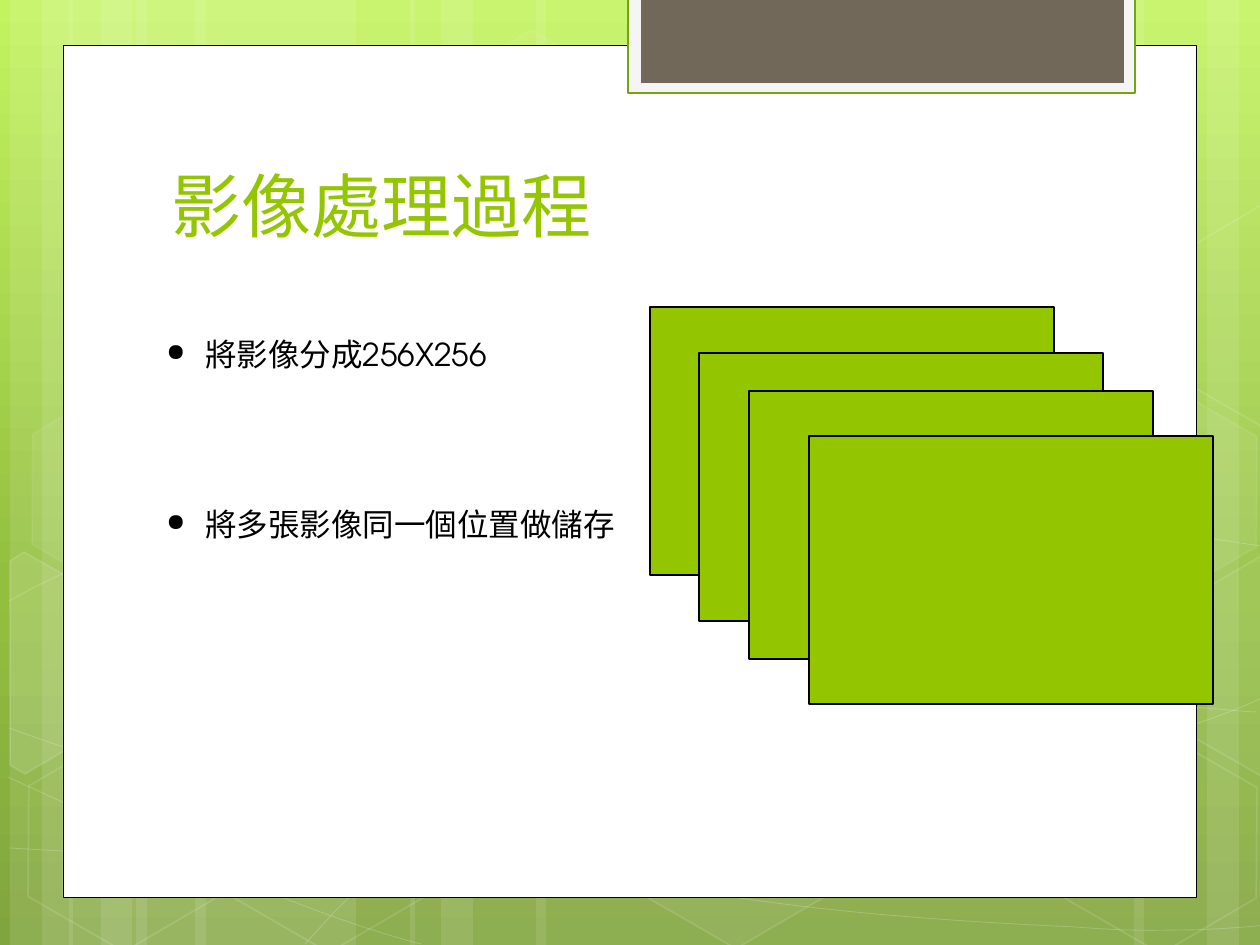
from copy import deepcopy

from lxml.etree import SubElement
from pptx import Presentation
from pptx.dml.color import RGBColor
from pptx.enum.shapes import MSO_SHAPE as Shape
from pptx.enum.text import MSO_ANCHOR as Anchor
from pptx.oxml.ns import qn
from pptx.util import Emu, Pt

SCALE = 914400 / 126  # EMU in one px
FONT = "TeX Gyre Adventor"
WHITE = RGBColor(0xFF, 0xFF, 0xFF)
BLACK = RGBColor(0, 0, 0)
LIME = RGBColor(0x94, 0xC6, 0x00)
DARK_LIME = RGBColor(0x74, 0xA5, 0x10)
PALE_GREY = RGBColor(0xF5, 0xF5, 0xF5)
TAUPE = RGBColor(0x71, 0x68, 0x5A)
BACKGROUND = [
    (0, RGBColor(0xC3, 0xF3, 0x5F)),
    (0.62, RGBColor(0x93, 0xBF, 0x3F)),
    (1, RGBColor(0x81, 0xA5, 0x3E)),
]

TITLE = " 影像處理過程"
TITLE_BOX = (144, 96, 968, 157)
BULLETS = [("將影像分成256X256", (154, 329, 350, 50)),
           ("將多張影像同一個位置做儲存", (154, 499, 479, 50))]
BULLET_INDENT = 39
BULLET_SIZE = 76  # percent of the text size

STRIPES = [  # left, width
    (136, 220), (10, 63), (42, 105), (195, 220), (69, 63), (101, 105),
    (924, 220), (1207, 63), (1134, 105), (536, 388), (410, 63), (441, 105),
]
CURVES = [  # start point, then two controls and an end for each Bezier piece
    [(9, 848), (77, 852), (145, 856), (239, 854), (334, 853), (451, 850),
     (577, 838), (703, 826), (882, 801), (998, 777), (1113, 753),
     (1231, 716), (1269, 694)],
    [(9, 601), (45, 581), (82, 562), (152, 543), (224, 524), (326, 499),
     (437, 488), (549, 477), (685, 477), (824, 488), (963, 498),
     (1193, 537), (1269, 547)],
    [(8, 777), (160, 847), (311, 916), (421, 944)],
    [(9, 728), (48, 742), (88, 756), (161, 776), (234, 795), (344, 827),
     (450, 848), (554, 869), (687, 892), (791, 905), (896, 918),
     (1008, 924), (1075, 927), (1140, 932), (1158, 930), (1191, 930),
     (1223, 929), (1246, 927), (1269, 925)],
    [(305, 944), (328, 919), (350, 893), (381, 871), (411, 848), (454, 823),
     (489, 805), (524, 788), (546, 780), (592, 767), (638, 754), (722, 737),
     (766, 728), (811, 719), (818, 719), (857, 717), (896, 714), (958, 709),
     (1000, 708), (1045, 707), (1116, 708), (1116, 708), (1144, 708),
     (1173, 708), (1201, 708), (1223, 709), (1245, 712), (1256, 712)],
]
HEXAGON_SIZE = (220, 192)
HEXAGONS = [  # left, top, fill opacity %, line opacity %
    (421, 45, 4, 8), (626, 742, 6, 12), (14, 745, 0, 12), (18, 393, 7, 8),
    (219, 746, 0, 12), (1051, 747, 0, 12), (1051, 396, 7, 8),
]
CUT_HEXAGONS = [  # points, fill opacity %
    ([(10, 561), (24, 552), (121, 607), (120, 718), (25, 774), (10, 765)], 10),
    ([(1167, 611), (1261, 556), (1271, 562), (1271, 772), (1263, 777),
      (1167, 722)], 4),
    ([(1167, 261), (1261, 205), (1273, 212), (1271, 422), (1263, 427),
      (1167, 372)], 0),
]
FRAMES = [  # box, fill, line, line width
    ((63, 45, 1134, 853), WHITE, BLACK, 0.5),
    ((628, -2, 507, 95), PALE_GREY, DARK_LIME, 1.25),
    ((641, -2, 483, 85), TAUPE, None, 0),
]
IMAGE_SIZE = (404, 268)
IMAGES = [(650, 307), (699, 353), (749, 391), (809, 436)]


def px(*values):
    return [Emu(round(value * SCALE)) for value in values]


def set_opacity(color_parent, percent):
    color = color_parent.find(qn("a:solidFill")).find(qn("a:srgbClr"))
    SubElement(color, qn("a:alpha"), val=str(percent * 1000))


def paint(shape, fill=None, line=None, width=0.0, fill_opacity=100,
          line_opacity=100):
    shape.shadow.inherit = False
    properties = shape.element.spPr
    if fill is None or fill_opacity == 0:
        shape.fill.background()
    else:
        shape.fill.solid()
        shape.fill.fore_color.rgb = fill
        if fill_opacity < 100:
            set_opacity(properties, fill_opacity)
    if line is None:
        shape.line.fill.background()
        return
    shape.line.color.rgb = line
    shape.line.width = Pt(width)
    if line_opacity < 100:
        set_opacity(properties.find(qn("a:ln")), line_opacity)


def add_box(slide, box, kind=Shape.RECTANGLE, **style):
    shape = slide.shapes.add_shape(kind, *px(*box))
    paint(shape, **style)
    return shape


def add_path(slide, points, close, **style):
    builder = slide.shapes.build_freeform(*points[0], scale=SCALE)
    builder.add_line_segments(points[1:], close=close)
    shape = builder.convert_to_shape()
    paint(shape, **style)
    return shape


def bend(shape):
    """Turn each three line segments of a path into one cubic Bezier piece."""
    path = shape.element.find(".//" + qn("a:path"))
    segments = path.findall(qn("a:lnTo"))
    for first in range(0, len(segments), 3):
        piece = SubElement(path, qn("a:cubicBezTo"))
        for segment in segments[first:first + 3]:
            piece.append(segment[0])
            path.remove(segment)


def add_text(slide, text, box, size, color, anchor=Anchor.TOP):
    frame = slide.shapes.add_textbox(*px(*box)).text_frame
    frame.word_wrap = True
    frame.vertical_anchor = anchor
    paragraph = frame.paragraphs[0]
    run = paragraph.add_run()
    run.text = text
    for name, value in {"name": FONT, "size": Pt(size)}.items():
        setattr(run.font, name, value)
    run.font.color.rgb = color
    return paragraph


def add_bullet(paragraph):
    properties = paragraph._p.get_or_add_pPr()
    indent = px(BULLET_INDENT)[0]
    properties.set("marL", str(indent))
    properties.set("indent", str(-indent))
    SubElement(properties, qn("a:buSzPct"), val=str(BULLET_SIZE * 1000))
    SubElement(properties, qn("a:buChar"), char="●")


def fill_background(slide):
    fill = slide.background.fill
    fill.gradient()
    fill.gradient_angle = 270
    stop_list = slide.element.find(".//" + qn("a:gsLst"))
    stop_list.append(deepcopy(stop_list[0]))
    for stop, (position, color) in zip(fill.gradient_stops, BACKGROUND):
        stop.position = position
        stop.color.rgb = color


def main():
    presentation = Presentation()
    presentation.slide_width, presentation.slide_height = px(1260, 945)
    slide = presentation.slides.add_slide(presentation.slide_layouts[6])
    fill_background(slide)

    for left, width in STRIPES:
        add_box(slide, (left, 0, width, 945), fill=WHITE, fill_opacity=10)
    for curve in CURVES:
        bend(add_path(slide, curve, False, line=WHITE, width=0.5,
                      line_opacity=20))
    for left, top, fill_opacity, line_opacity in HEXAGONS:
        hexagon = add_box(slide, (left, top, *HEXAGON_SIZE), Shape.HEXAGON,
                          fill=WHITE, line=WHITE, width=1,
                          fill_opacity=fill_opacity, line_opacity=line_opacity)
        hexagon.adjustments[0] = 0.285
        hexagon.rotation = 30
    for points, fill_opacity in CUT_HEXAGONS:
        add_path(slide, points, True, fill=WHITE, line=WHITE, width=1,
                 fill_opacity=fill_opacity, line_opacity=12)

    for box, fill, line, width in FRAMES:
        add_box(slide, box, fill=fill, line=line, width=width)
    add_text(slide, TITLE, TITLE_BOX, 40, LIME, Anchor.BOTTOM)
    for corner in IMAGES:
        add_box(slide, (*corner, *IMAGE_SIZE), fill=LIME, line=BLACK, width=1.25)
    for text, box in BULLETS:
        add_bullet(add_text(slide, text, box, 18, BLACK))

    presentation.save("out.pptx")


if __name__ == "__main__":
    main()
